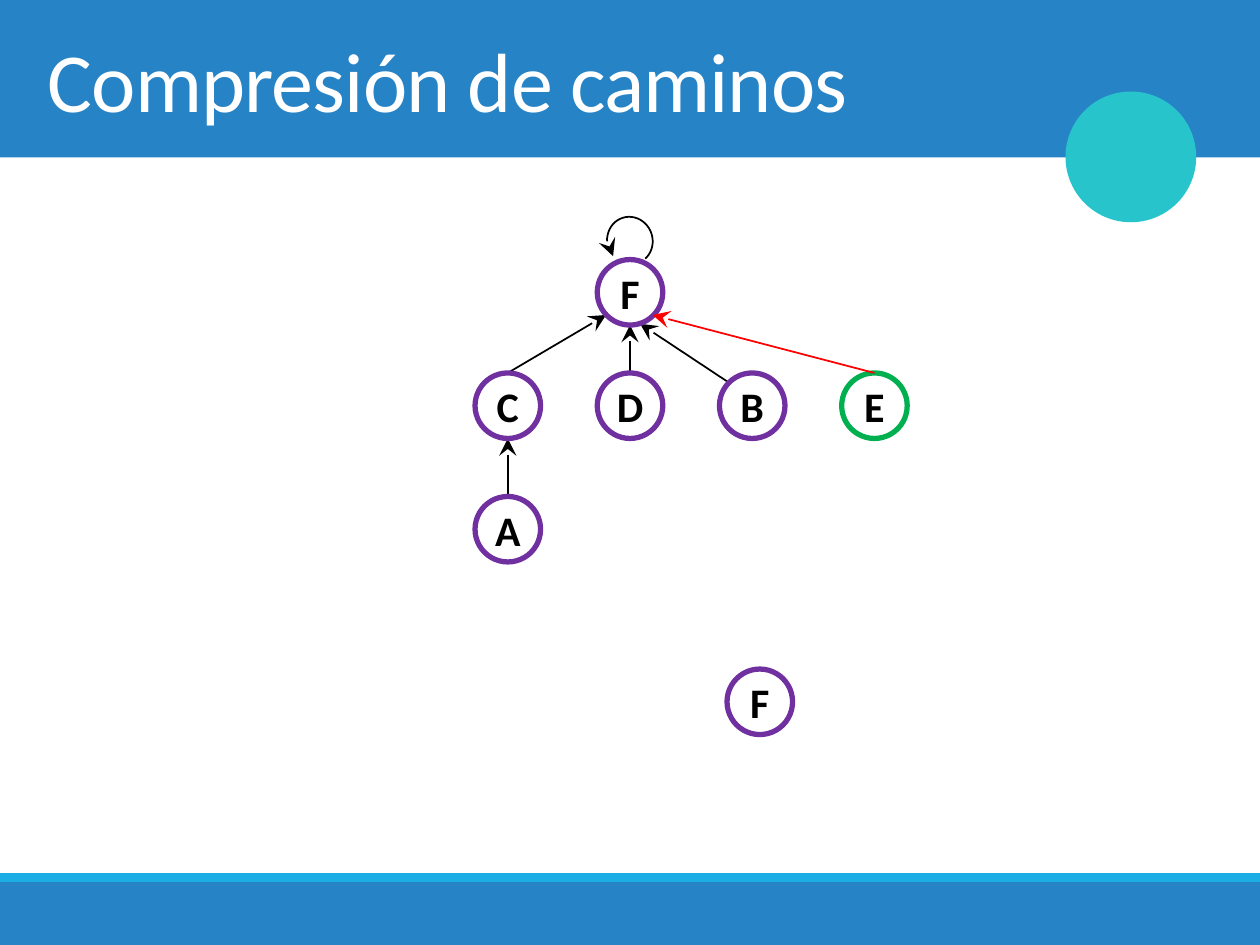
from dataclasses import dataclass

from lxml import etree
from pptx import Presentation
from pptx import util as u
from pptx.dml.color import RGBColor
from pptx.enum import shapes, text
from pptx.oxml.ns import qn

COLORS = {
    "band": "2683C6",
    "stripe": "1CADE4",
    "disc": "28C4CC",
    "white": "FFFFFF",
    "black": "000000",
    "purple": "7030A0",
    "green": "00B050",
    "red": "FF0000",
}
FONT = "Calibri"
NODE = 0.52
COLUMNS = [3.77, 4.74, 5.71, 6.68]
ROOT_Y, CHILD_Y, LEAF_Y = 2.06, 2.96, 3.94


@dataclass
class Block:
    kind: shapes.MSO_SHAPE
    x: float
    y: float
    w: float
    h: float
    color: str


@dataclass
class Node:
    label: str
    x: float
    y: float
    color: str = "purple"


@dataclass
class Edge:
    x1: float
    y1: float
    x2: float
    y2: float
    color: str = "black"


BLOCKS = [
    Block(shapes.MSO_SHAPE.RECTANGLE, 0, 0, 10, 1.25, "band"),
    Block(shapes.MSO_SHAPE.RECTANGLE, 0, 7, 10, 0.5, "band"),
    Block(shapes.MSO_SHAPE.RECTANGLE, 0, 6.93, 10, 0.07, "stripe"),
    Block(shapes.MSO_SHAPE.OVAL, 8.47, 0.74, 1.01, 1.01, "disc"),
]
NODES = [
    Node("D", COLUMNS[1], CHILD_Y),
    Node("B", COLUMNS[2], CHILD_Y),
    Node("A", COLUMNS[0], LEAF_Y),
    Node("C", COLUMNS[0], CHILD_Y),
    Node("F", COLUMNS[1], ROOT_Y),
    Node("E", COLUMNS[3], CHILD_Y, "green"),
    Node("F", 5.77, 5.31),
]
EDGES = [
    Edge(5, CHILD_Y, 5, ROOT_Y + NODE),
    Edge(5.79, 3.04, 5.08, 2.57),
    Edge(4.03, LEAF_Y, 4.03, CHILD_Y + NODE),
    Edge(4.03, CHILD_Y, 4.81, 2.5),
]
COMPRESSED_EDGE = Edge(6.94, CHILD_Y, 5.18, 2.5, "red")


def rgb(name: str) -> RGBColor:
    return RGBColor.from_string(COLORS[name])


def set_line(sp, color: str, width: float) -> None:
    sp.line.color.rgb = rgb(color)
    sp.line.width = u.Pt(width)


def add_arrowhead(sp, end: str) -> None:
    ln = sp.line._get_or_add_ln()
    etree.SubElement(ln, qn(f"a:{end}"), type="stealth", w="lg", len="lg")


def add_shape(s, kind, x: float, y: float, w: float, h: float):
    sp = s.shapes.add_shape(kind, u.Inches(x), u.Inches(y), u.Inches(w), u.Inches(h))
    sp.shadow.inherit = False
    return sp


def add_block(s, block: Block) -> None:
    sp = add_shape(s, block.kind, block.x, block.y, block.w, block.h)
    sp.fill.solid()
    sp.fill.fore_color.rgb = rgb(block.color)
    if block.kind == shapes.MSO_SHAPE.OVAL:
        set_line(sp, block.color, 2)
    else:
        sp.line.fill.background()


def add_title(s, title: str) -> None:
    sp = s.shapes.title
    sp.element.getparent().append(sp.element)
    sp.left, sp.top = u.Inches(0.28), u.Inches(0)
    sp.width, sp.height = u.Inches(9.45), u.Inches(1.25)
    tf = sp.text_frame
    tf.text = title
    tf.vertical_anchor = text.MSO_ANCHOR.MIDDLE
    p = tf.paragraphs[0]
    p.alignment = text.PP_ALIGN.LEFT
    p.font.name = FONT
    p.font.size = u.Pt(48)
    p.font.color.rgb = rgb("white")
    p.runs[0].font._element.set("spc", "-50")


def add_edge(s, edge: Edge) -> None:
    ends = [u.Inches(v) for v in (edge.x1, edge.y1, edge.x2, edge.y2)]
    cx = s.shapes.add_connector(shapes.MSO_CONNECTOR.STRAIGHT, *ends)
    set_line(cx, edge.color, 1)
    add_arrowhead(cx, "tailEnd")
    etree.SubElement(cx._element.spPr, qn("a:effectLst"))


def add_self_loop(s) -> None:
    sp = add_shape(s, shapes.MSO_SHAPE.ARC, 4.82, 1.72, 0.36, 0.38)
    sp.adjustments[0] = 92.66
    sp.adjustments[1] = 40.09
    sp.rotation = 342.8
    sp.fill.background()
    set_line(sp, "black", 1)
    add_arrowhead(sp, "headEnd")


def add_node(s, node: Node) -> None:
    sp = add_shape(s, shapes.MSO_SHAPE.OVAL, node.x, node.y, NODE, NODE)
    sp.fill.solid()
    sp.fill.fore_color.rgb = rgb("white")
    set_line(sp, node.color, 3)
    tf = sp.text_frame
    tf.word_wrap = False
    tf.margin_left = tf.margin_right = tf.margin_top = tf.margin_bottom = 0
    tf.vertical_anchor = text.MSO_ANCHOR.MIDDLE
    tf.text = node.label
    p = tf.paragraphs[0]
    p.alignment = text.PP_ALIGN.CENTER
    p.font.name = FONT
    p.font.size = u.Pt(24)
    p.font.bold = True
    p.font.color.rgb = rgb("black")


def main() -> None:
    prs = Presentation()
    prs.slide_width, prs.slide_height = u.Inches(10), u.Inches(7.5)
    s = prs.slides.add_slide(prs.slide_layouts[5])
    for block in BLOCKS:
        add_block(s, block)
    add_title(s, "Compresión de caminos")
    for edge in EDGES:
        add_edge(s, edge)
    add_self_loop(s)
    for node in NODES:
        add_node(s, node)
    add_edge(s, COMPRESSED_EDGE)
    prs.save("out.pptx")


if __name__ == "__main__":
    main()
